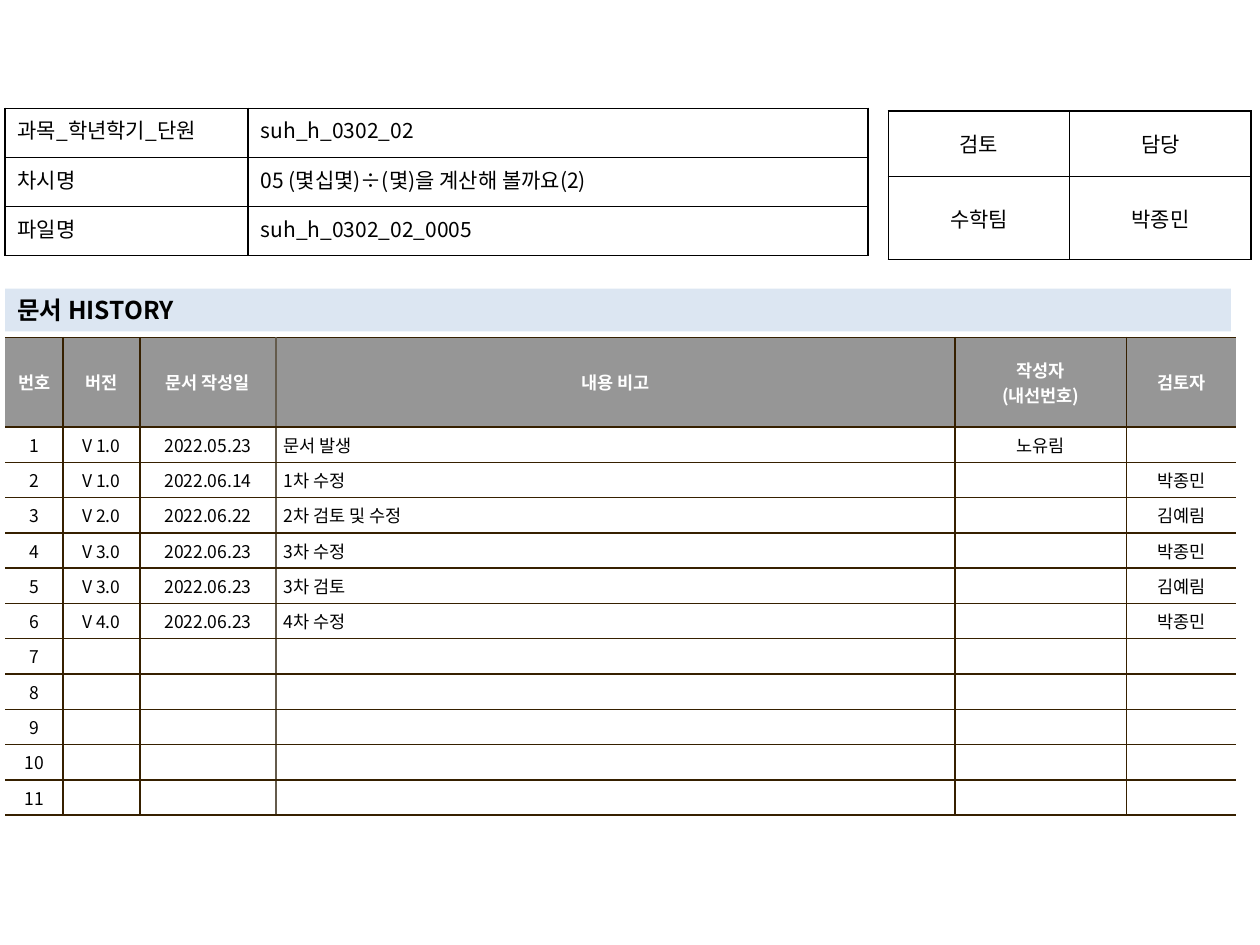
import pptx
import pptx.dml.color
import pptx.enum.shapes
import pptx.enum.text
import pptx.oxml.ns
import pptx.util
from lxml import etree

Inches = pptx.util.Inches
qn = pptx.oxml.ns.qn
ALIGN = pptx.enum.text.PP_ALIGN
ANCHOR = pptx.enum.text.MSO_ANCHOR
FONT = "Noto Sans CJK KR"
BLACK, WHITE, BROWN, TAUPE = "000000", "FFFFFF", "362000", "645B4C"

HISTORY = [
    ["번호", "버전", "문서 작성일", "내용 비고", "작성자\n(내선번호)", "검토자"],
    ["1", "V 1.0", "2022.05.23", "문서 발생", "노유림", ""],
    ["2", "V 1.0", "2022.06.14", "1차 수정", "", "박종민"],
    ["3", "V 2.0", "2022.06.22", "2차 검토 및 수정", "", "김예림"],
    ["4", "V 3.0", "2022.06.23", "3차 수정", "", "박종민"],
    ["5", "V 3.0", "2022.06.23", "3차 검토", "", "김예림"],
    ["6", "V 4.0", "2022.06.23", "4차 수정", "", "박종민"],
] + [[str(n), "", "", "", "", ""] for n in range(7, 12)]

REVIEW = [["검토", "담당"], ["수학팀", "박종민"]]

LESSON = [
    ["과목_학년학기_단원", "suh_h_0302_02"],
    ["차시명", "05 (몇십몇)÷(몇)을 계산해 볼까요(2)"],
    ["파일명", "suh_h_0302_02_0005"],
]


def rgb(color):
    return pptx.dml.color.RGBColor.from_string(color)


def format_text(tf, size, color, bold=False, align=ALIGN.LEFT):
    for p in tf.paragraphs:
        p.alignment = align
        for r in p.runs:
            r.font.size = pptx.util.Pt(size)
            r.font.name = FONT
            r.font.bold = bold
            r.font.color.rgb = rgb(color)
            ea = etree.SubElement(r.font._element, qn("a:ea"))
            ea.set("typeface", FONT)
        if not p.runs:
            end = etree.SubElement(p._p, qn("a:endParaRPr"))
            end.set("sz", str(size * 100))


def hang_indent(p, width):
    pPr = p._p.get_or_add_pPr()
    pPr.set("marL", str(Inches(width)))
    pPr.set("indent", str(-Inches(width)))


def set_borders(cell, **colors):
    tcPr = cell._tc.get_or_add_tcPr()
    for i, side in enumerate("LRTB"):
        color = colors[side]
        ln = etree.Element(qn("a:ln" + side), w=str(pptx.util.Pt(1)))
        if color:
            fill = etree.SubElement(ln, qn("a:solidFill"))
            etree.SubElement(fill, qn("a:srgbClr"), val=color)
        else:
            etree.SubElement(ln, qn("a:noFill"))
        tcPr.insert(i, ln)


def fill_cell(cell, color):
    if color:
        cell.fill.solid()
        cell.fill.fore_color.rgb = rgb(color)
    else:
        cell.fill.background()


def set_margins(cell, side, end):
    cell.margin_left = cell.margin_right = Inches(side)
    cell.margin_top = cell.margin_bottom = Inches(end)


def add_grid(s, left, top, widths, heights, rows):
    frame = s.shapes.add_table(
        len(rows), len(widths), Inches(left), Inches(top),
        Inches(sum(widths)), Inches(sum(heights)))
    table = frame.table
    table.first_row = table.horz_banding = False
    for col, width in zip(table.columns, widths):
        col.width = Inches(width)
    for row, height, texts in zip(table.rows, heights, rows):
        row.height = Inches(height)
        for cell, text in zip(row.cells, texts):
            cell.text_frame.text = text
    return table


def add_history(s):
    widths = [0.46, 0.61, 1.08, 5.39, 1.36, 0.87]
    heights = [0.71] + [0.25] * (len(HISTORY) - 1)
    table = add_grid(s, 0.04, 2.68, widths, heights, HISTORY)
    verticals = [None, BROWN, BROWN, TAUPE, BROWN, BROWN, None]
    for i, row in enumerate(table.rows):
        header = i == 0
        for j, cell in enumerate(row.cells):
            note = j == 3 and not header
            set_margins(cell, 0.06, 0.04)
            cell.vertical_anchor = ANCHOR.MIDDLE
            fill_cell(cell, "969696" if header else WHITE)
            set_borders(cell, L=verticals[j], R=verticals[j + 1], T=BROWN, B=BROWN)
            format_text(cell.text_frame, 10, WHITE if header else BLACK, header,
                        ALIGN.LEFT if note else ALIGN.CENTER)
            if note:
                hang_indent(cell.text_frame.paragraphs[0], 0.19)
            elif j == 5 and not header:
                hang_indent(cell.text_frame.paragraphs[0], 0.09)


def add_info(s, left, top, widths, heights, rows, aligns, anchor):
    table = add_grid(s, left, top, widths, heights, rows)
    for row in table.rows:
        for cell, align in zip(row.cells, aligns):
            set_margins(cell, 0.1, 0.05)
            cell.vertical_anchor = anchor
            fill_cell(cell, None)
            set_borders(cell, L=BLACK, R=BLACK, T=BLACK, B=BLACK)
            format_text(cell.text_frame, 12, BLACK, align=align)


def add_heading(s, text):
    sp = s.shapes.add_shape(
        pptx.enum.shapes.MSO_SHAPE.RECTANGLE,
        Inches(0.04), Inches(2.29), Inches(9.73), Inches(0.34))
    sp.shadow.inherit = False
    sp.fill.solid()
    sp.fill.fore_color.rgb = rgb("DCE6F2")
    sp.line.fill.background()
    tf = sp.text_frame
    tf.word_wrap = True
    tf.vertical_anchor = ANCHOR.MIDDLE
    tf.text = text
    format_text(tf, 14, BLACK, True)


def main():
    prs = pptx.Presentation()
    prs.slide_width, prs.slide_height = Inches(10), Inches(7.5)
    s = prs.slides.add_slide(prs.slide_layouts[6])
    add_history(s)
    add_info(s, 7.05, 0.88, [1.44, 1.44], [0.52, 0.66], REVIEW,
             [ALIGN.CENTER, ALIGN.CENTER], ANCHOR.MIDDLE)
    add_heading(s, "문서 HISTORY")
    add_info(s, 0.04, 0.86, [1.93, 4.92], [0.39] * 3, LESSON,
             [ALIGN.JUSTIFY, ALIGN.LEFT], ANCHOR.TOP)
    prs.save("out.pptx")


if __name__ == "__main__":
    main()
